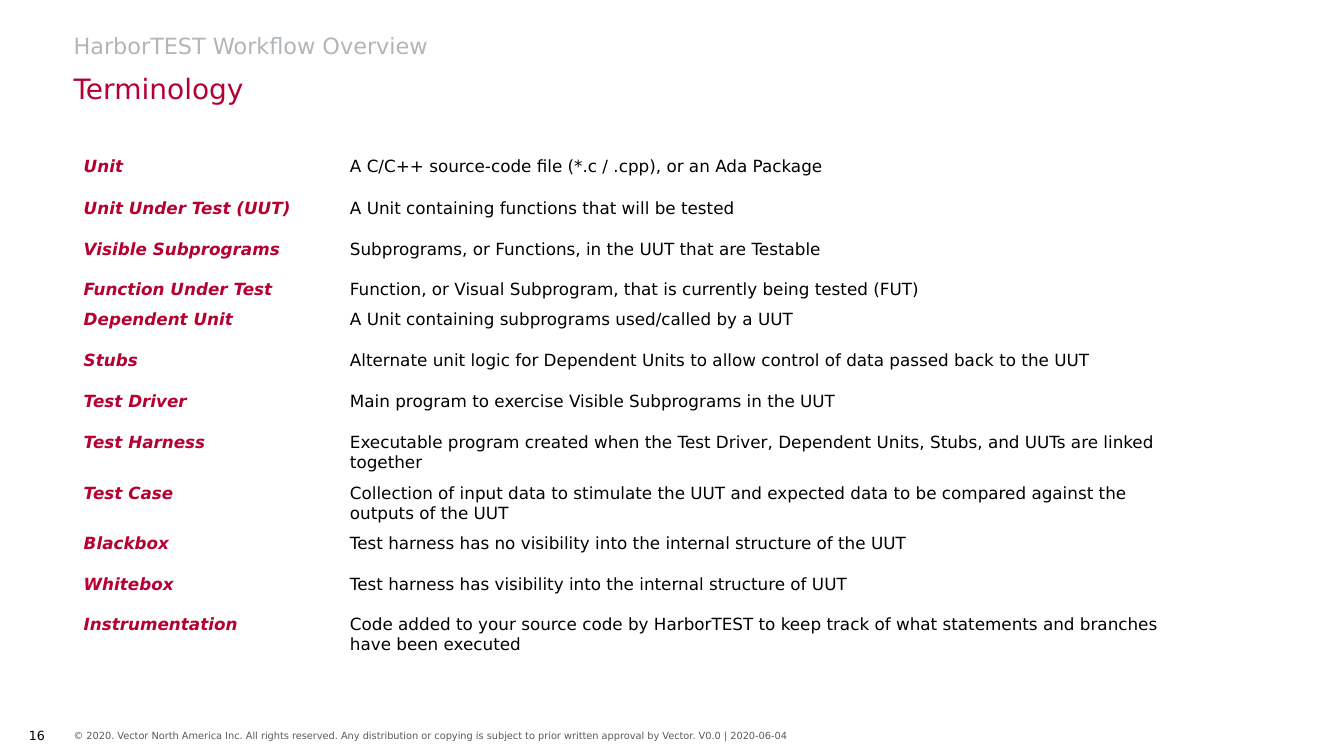
from pptx import Presentation
from pptx.dml.color import RGBColor
from pptx.enum import text as t
from pptx.util import Pt

HUES = {"red": "B70032", "gray": "B1B6BA", "slate": "565C5E", "black": "000000"}
FACE = "DejaVu Sans"
LEFT = 52.6

# Each row holds one or more (term, meaning) pairs
ROWS = [
    (29.4, [("Unit", "A C/C++ source-code file (*.c / .cpp), or an Ada Package")]),
    (29.4, [("Unit Under Test (UUT)", "A Unit containing functions that will be tested")]),
    (50.2, [("Visible Subprograms", "Subprograms, or Functions, in the UUT that are Testable"),
            ("Function Under Test",
             "Function, or Visual Subprogram, that is currently being tested (FUT)")]),
    (29.4, [("Dependent Unit", "A Unit containing subprograms used/called by a UUT")]),
    (29.4, [("Stubs", "Alternate unit logic for Dependent Units to allow control of data "
             "passed back to the UUT")]),
    (29.4, [("Test Driver", "Main program to exercise Visible Subprograms in the UUT")]),
    (36, [("Test Harness", "Executable program created when the Test Driver, Dependent Units, "
           "Stubs, and UUTs are linked together")]),
    (36, [("Test Case", "Collection of input data to stimulate the UUT and expected data to be "
           "compared against the outputs of the UUT")]),
    (29.4, [("Blackbox",
             "Test harness has no visibility into the internal structure of the UUT")]),
    (64.8, [("Whitebox", "Test harness has visibility into the internal structure of UUT"),
            ("Instrumentation", "Code added to your source code by HarborTEST to keep track of "
             "what statements and branches have been executed")]),
]


def style(para, size, hue, **more):
    form = {"name": FACE, "size": Pt(size), "bold": False, "italic": False, **more}
    for key, val in form.items():
        setattr(para.font, key, val)
    para.font.color.rgb = RGBColor.from_string(HUES[hue])


def label(shape, box, words, size, hue, anchor, align=t.PP_ALIGN.LEFT):
    for key, val in zip(("left", "top", "width", "height"), box):
        setattr(shape, key, Pt(val))
    frame = shape.text_frame
    form = {"margin_left": 0, "margin_top": 0, "margin_right": 0, "margin_bottom": 0,
            "word_wrap": True, "auto_size": t.MSO_AUTO_SIZE.NONE, "vertical_anchor": anchor}
    for key, val in form.items():
        setattr(frame, key, val)
    frame.text = words
    para = frame.paragraphs[0]
    para.alignment = align
    style(para, size, hue)
    return para


def new_box(slide):
    return slide.shapes.add_textbox(0, 0, 0, 0)


# Topic line and heading
def header(slide, left, top, width):
    low = t.MSO_ANCHOR.BOTTOM
    para = label(slide.shapes.title, (left, top, width, 22.4),
                 "HarborTEST Workflow Overview", 16, "gray", low)
    para.line_spacing = 0.9
    label(new_box(slide), (left, top + 29.5, width, 25.2), "Terminology", 20, "red", low)


# Glossary table
def terms(slide, left, top, widths):
    high = sum(tall for tall, _ in ROWS)
    grid = slide.shapes.add_table(len(ROWS), 2, Pt(left), Pt(top),
                                  Pt(sum(widths)), Pt(high)).table
    grid.first_row = grid.horz_banding = False
    for col, width in zip(grid.columns, widths):
        col.width = Pt(width)
    looks = [{"hue": "red", "bold": True, "italic": True}, {"hue": "black"}]
    for r, (tall, pairs) in enumerate(ROWS):
        grid.rows[r].height = Pt(tall)
        for c, look in enumerate(looks):
            cell = grid.cell(r, c)
            cell.fill.background()
            cell.text = "\n".join(pair[c] for pair in pairs)
            for n, para in enumerate(cell.text_frame.paragraphs):
                style(para, 12, **look)
                if n:
                    para.space_before = Pt(14.4)


# Page number and copyright line
def footer(slide, top, high):
    mid = t.MSO_ANCHOR.MIDDLE
    label(new_box(slide), (0, top, LEFT, high), "16", 9, "black", mid, t.PP_ALIGN.CENTER)
    label(new_box(slide), (LEFT, top, 856, high),
          "© 2020. Vector North America Inc. All rights reserved. Any distribution or copying "
          "is subject to prior written approval by Vector. V0.0 | 2020-06-04", 7, "slate", mid)


def main():
    deck = Presentation()
    deck.slide_width, deck.slide_height = Pt(960), Pt(540)
    slide = deck.slides.add_slide(deck.slide_layouts[5])
    header(slide, LEFT, 20.2, 704)
    terms(slide, LEFT, 108.8, (190.2, 601))
    footer(slide, 510.5, 29.5)
    deck.save("out.pptx")


if __name__ == "__main__":
    main()
